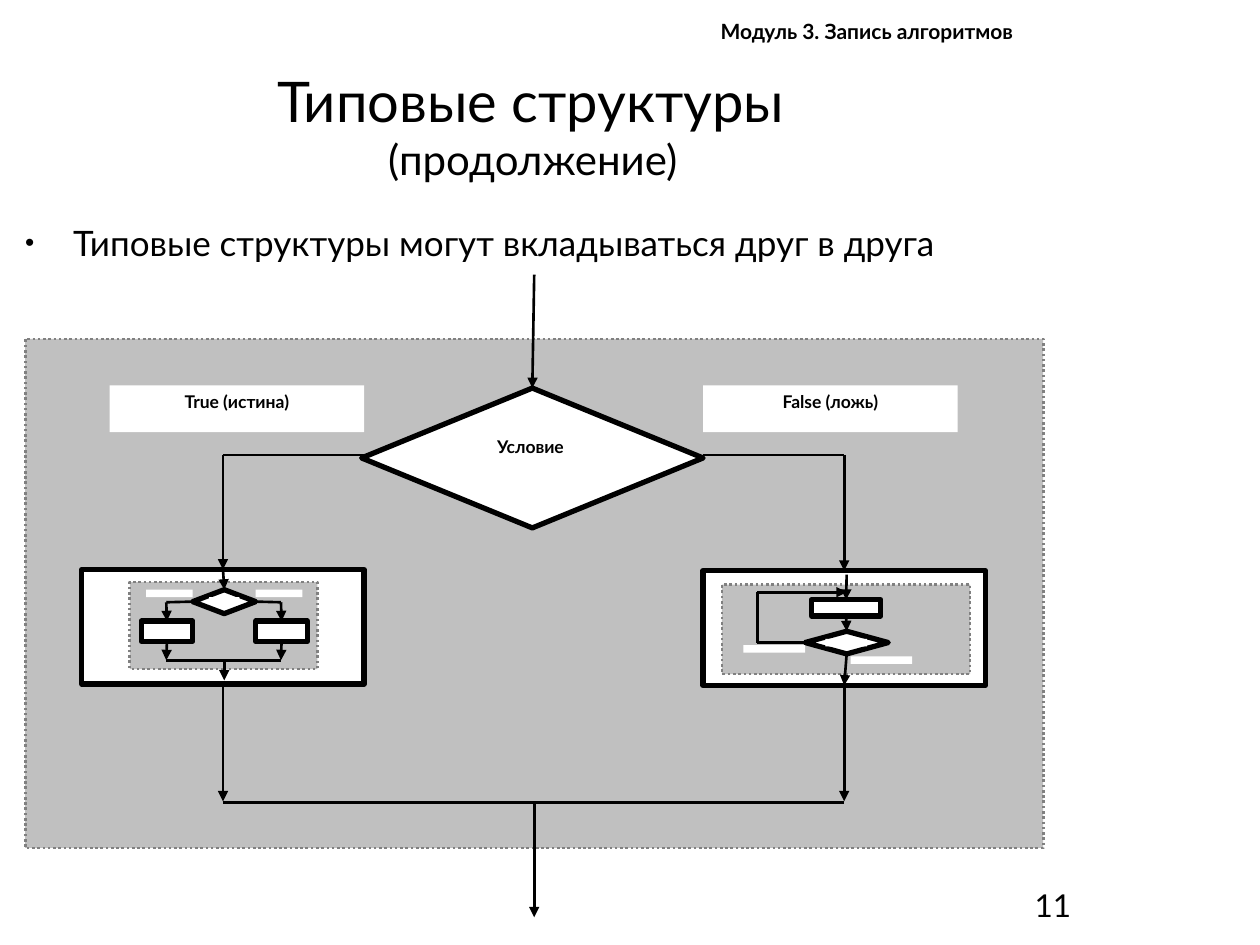
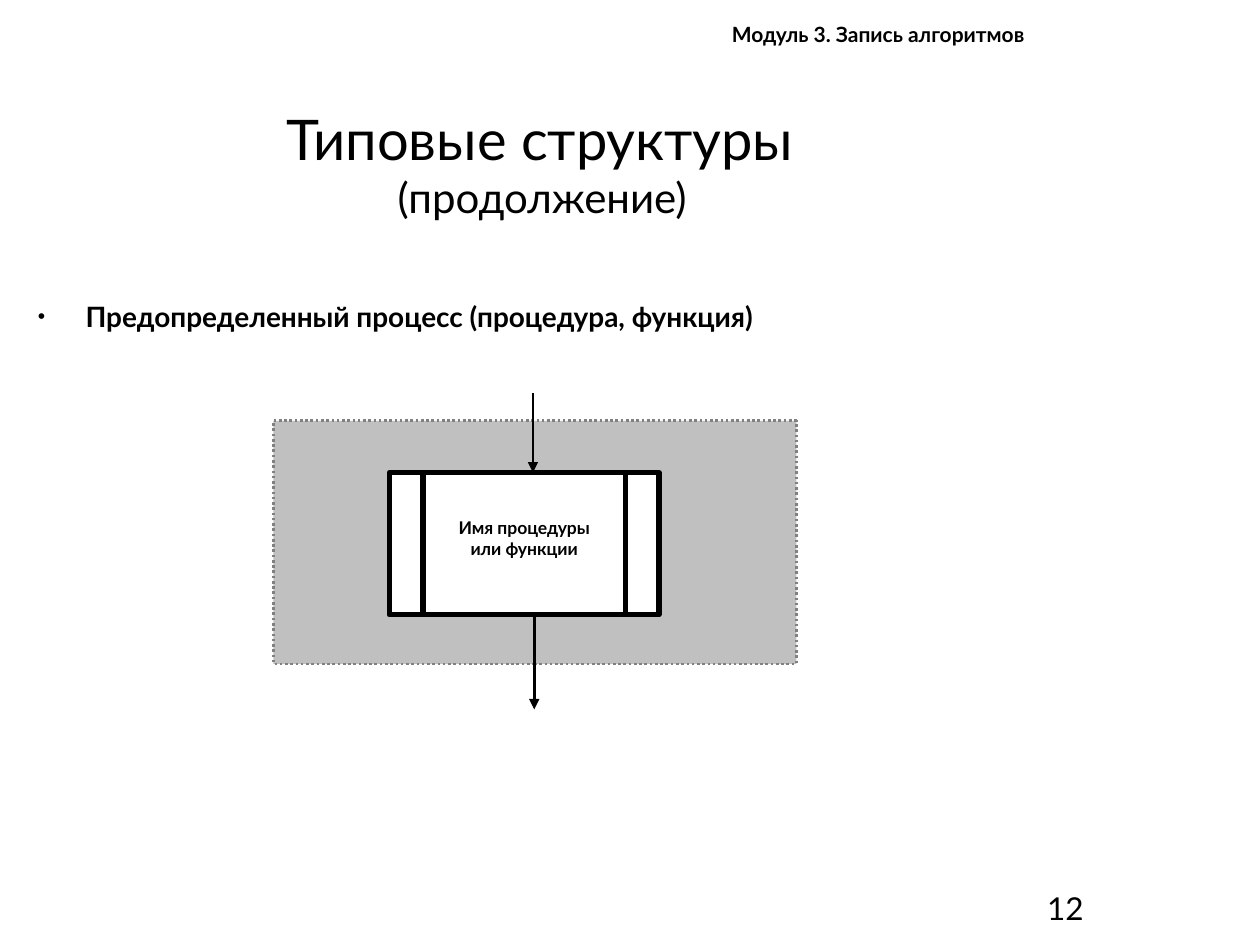
"""Builds two slides on typical algorithm structures: nesting and the predefined process."""
from lxml.etree import SubElement
from pptx import Presentation
from pptx.dml.color import RGBColor
from pptx.enum.dml import MSO_LINE
from pptx.enum.shapes import MSO_CONNECTOR, MSO_SHAPE
from pptx.enum.text import MSO_ANCHOR, MSO_AUTO_SIZE, PP_ALIGN
from pptx.oxml.ns import qn
from pptx.util import Inches, Pt

COLORS = {"ink": "000000", "paper": "FFFFFF", "frame": "C0C0C0", "frame_edge": "808080"}
FONT = "Lato"
JOIN_GAP = 0.02
STYLES = {
    "frame": (MSO_SHAPE.RECTANGLE, "frame", "frame_edge", 1.5),
    "step": (MSO_SHAPE.RECTANGLE, "paper", "ink", 3),
    "choice": (MSO_SHAPE.DIAMOND, "paper", "ink", 3),
    "procedure": (MSO_SHAPE.FLOWCHART_PREDEFINED_PROCESS, "paper", "ink", 3),
}


def color(key):
    return RGBColor.from_string(COLORS[key])


def write(frame, text, size=10, bold=False, align=PP_ALIGN.LEFT,
          anchor=MSO_ANCHOR.TOP, insets=(0.1, 0.05)):
    frame.word_wrap = True
    frame.auto_size = MSO_AUTO_SIZE.NONE
    frame.vertical_anchor = anchor
    frame.margin_left = frame.margin_right = Inches(insets[0])
    frame.margin_top = frame.margin_bottom = Inches(insets[1])
    frame.text = text
    for paragraph in frame.paragraphs:
        paragraph.alignment = align
        paragraph.space_before = Pt(0)
        for line_break in paragraph._p.findall(qn("a:br")):
            SubElement(line_break, qn("a:rPr"), sz=str(size * 100))
        for run in paragraph.runs:
            run.font.name = FONT
            run.font.size = Pt(size)
            run.font.bold = bold
            run.font.color.rgb = color("ink")


nested_parts = [
    ("frame", 0.2, 2.69, 8.08, 4.04),
    ("choice", 2.87, 3.08, 2.71, 1.11),
    ("step", 0.65, 4.52, 2.24, 0.91),
    ("step", 5.58, 4.53, 2.24, 0.91),
    ("frame", 1.03, 4.62, 1.49, 0.69),
    ("choice", 1.53, 4.68, 0.5, 0.19),
    ("step", 1.12, 4.93, 0.41, 0.16),
    ("step", 2.03, 4.93, 0.41, 0.16),
    ("frame", 5.73, 4.64, 1.97, 0.71),
    ("choice", 6.39, 5.01, 0.66, 0.18),
    ("step", 6.44, 4.76, 0.55, 0.13),
]
nested_arrows = [
    (4.24, 2.18, 4.24, 3.09), (4.24, 6.37, 4.24, 7.28),
    (1.78, 4.53, 1.78, 4.69), (1.78, 5.24, 1.78, 5.4),
    (6.72, 4.56, 6.72, 4.75), (6.72, 4.89, 6.72, 5.0),
    (6.72, 5.18, 6.72, 5.43), (6.01, 4.7, 6.72, 4.7),
]
for branch_x in (1.77, 6.7):
    nested_arrows += [(branch_x, 3.61, branch_x, 4.53), (branch_x, 5.45, branch_x, 6.36)]
for branch_x in (1.32, 2.23):
    nested_arrows += [(branch_x, 4.78, branch_x, 4.93), (branch_x, 5.09, branch_x, 5.24)]
nested_links = [
    (1.77, 3.61, 2.89, 3.61), (5.58, 3.61, 6.7, 3.61), (1.77, 6.37, 6.7, 6.37),
    (1.32, 4.78, 1.53, 4.78), (2.03, 4.78, 2.23, 4.78), (1.32, 5.24, 2.23, 5.24),
    (6.01, 4.7, 6.01, 5.1), (6.01, 5.1, 6.39, 5.1),
]
nested_labels = [
    ("Условие", 3.57, 3.42, 1.28, 0.44),
    ("False (ложь)", 5.58, 3.06, 2.02, 0.37),
    ("True (истина)", 0.87, 3.06, 2.02, 0.37),
]
nested_labels += [("", x, y, width, 0.06) for x, y, width in (
    (1.66, 4.74, 0.24), (1.2, 4.97, 0.25), (2.11, 4.97, 0.25), (2.03, 4.68, 0.37),
    (1.16, 4.68, 0.37), (6.55, 5.07, 0.33), (6.5, 4.79, 0.44), (6.75, 5.21, 0.49),
    (5.9, 5.12, 0.49))]

topics = [
    {
        "number": ("11", 6.27, 6.98), "module": (5.62, 0.1),
        "title": (0.1, 0.49, 8.34, 1.01), "body": (0.1, 1.71, 8.62, 4.92),
        "point": "Типовые структуры могут вкладываться друг в друга",
        "point_size": 20, "point_bold": False, "label_insets": (0, 0.04),
        "parts": nested_parts, "arrows": nested_arrows,
        "links": nested_links, "labels": nested_labels,
    },
    {
        "number": ("12", 6.37, 7.01), "module": (5.71, 0.12),
        "title": (0.28, 0.78, 8.13, 1.03), "body": (0.2, 2.33, 8.62, 4.32),
        "point": "Предопределенный процесс (процедура, функция)",
        "point_size": 16, "point_bold": True, "label_insets": (0.1, 0.05),
        "parts": [("frame", 2.17, 3.34, 4.15, 1.93), ("procedure", 3.09, 3.75, 2.14, 1.13)],
        "arrows": [(4.23, 3.12, 4.23, 3.75), (4.24, 4.88, 4.24, 5.63)],
        "links": [],
        "labels": [("Имя процедуры\nили функции", 3.47, 4.05, 1.38, 0.51)],
    },
]

deck = Presentation()
deck.slide_width, deck.slide_height = Inches(10), Inches(7.5)

for topic in topics:
    slide = deck.slides.add_slide(deck.slide_layouts[1])
    shapes = slide.shapes
    title, body = shapes.title, slide.placeholders[1]
    for holder, place in ((title, topic["title"]), (body, topic["body"])):
        holder.left, holder.top, holder.width, holder.height = map(Inches, place)

    write(title.text_frame, "Типовые структуры \v(продолжение) ", size=32,
          align=PP_ALIGN.CENTER, anchor=MSO_ANCHOR.MIDDLE)
    title.text_frame.paragraphs[0].runs[1].font.size = Pt(24)

    write(body.text_frame, topic["point"], size=topic["point_size"], bold=topic["point_bold"])
    bullet = body.text_frame.paragraphs[0]._p.get_or_add_pPr()
    bullet.set("marL", str(Inches(0.38)))
    bullet.set("indent", str(-Inches(0.38)))
    SubElement(bullet, qn("a:buSzPct"), val="75000")
    SubElement(bullet, qn("a:buChar"), char="•")

    number, x, y = topic["number"]
    page = shapes.add_textbox(Inches(x), Inches(y), Inches(2.33), Inches(0.52))
    write(page.text_frame, number, size=18, align=PP_ALIGN.RIGHT)

    sides = []
    for kind, x, y, width, height in topic["parts"]:
        preset, fill, edge, weight = STYLES[kind]
        part = shapes.add_shape(preset, *map(Inches, (x, y, width, height)))
        part.shadow.inherit = False
        part.fill.solid()
        part.fill.fore_color.rgb = color(fill)
        part.line.color.rgb = color(edge)
        part.line.width = Pt(weight)
        if kind == "frame":
            part.line.dash_style = MSO_LINE.ROUND_DOT
            continue
        middle_x, middle_y = x + width / 2, y + height / 2
        sides += [(part, 0, middle_x, y), (part, 1, x, middle_y),
                  (part, 2, middle_x, y + height), (part, 3, x + width, middle_y)]

    for ends, pointed in ((topic["links"], False), (topic["arrows"], True)):
        for x1, y1, x2, y2 in ends:
            flow = shapes.add_connector(MSO_CONNECTOR.STRAIGHT, *map(Inches, (x1, y1, x2, y2)))
            flow.line.color.rgb = color("ink")
            flow.line.width = Pt(1.5)
            if pointed:
                SubElement(flow.line._get_or_add_ln(), qn("a:tailEnd"), type="triangle")
            SubElement(flow._element.spPr, qn("a:effectLst"))
            for x, y, join in ((x1, y1, flow.begin_connect), (x2, y2, flow.end_connect)):
                for part, site, side_x, side_y in sides:
                    if max(abs(x - side_x), abs(y - side_y)) <= JOIN_GAP:
                        join(part, site)
                        break

    for text, *place in topic["labels"]:
        label = shapes.add_shape(MSO_SHAPE.RECTANGLE, *map(Inches, place))
        label.shadow.inherit = False
        label.fill.solid()
        label.fill.fore_color.rgb = color("paper")
        label.line.fill.background()
        if text:
            write(label.text_frame, text, bold=True, align=PP_ALIGN.CENTER,
                  insets=topic["label_insets"])

    x, y = topic["module"]
    module = shapes.add_textbox(Inches(x), Inches(y), Inches(2.82), Inches(0.3))
    write(module.text_frame, "Модуль 3. Запись алгоритмов", size=12, bold=True)

deck.save("out.pptx")
